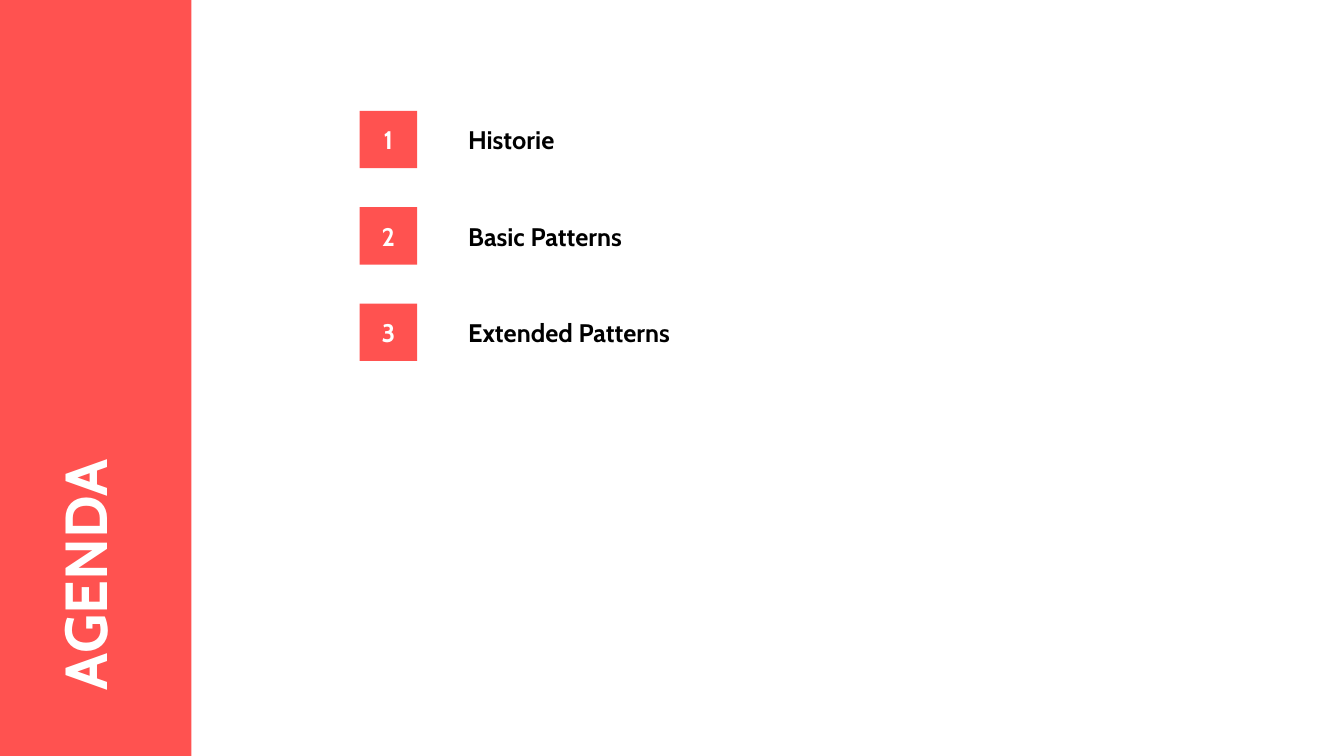
"""Build the agenda slide with its red side band and numbered topics."""
from pptx import Presentation
from pptx import util as u
from pptx.dml.color import RGBColor
from pptx.enum import shapes, text

COLORS = {"red": "FF5250", "white": "FFFFFF", "black": "000000"}
FONT = "Cabin"
TOPICS = ["Historie", "Basic Patterns", "Extended Patterns"]


def write(box, wording, size=15, color="black", align=text.PP_ALIGN.LEFT, inset=0.1):
    """Write one bold, vertically centred line of text into a shape."""
    frame = box.text_frame
    frame.word_wrap = True
    frame.vertical_anchor = text.MSO_ANCHOR.MIDDLE
    frame.margin_left = frame.margin_right = u.Inches(inset)
    frame.margin_top = frame.margin_bottom = u.Inches(inset / 2)
    line = frame.paragraphs[0]
    line.alignment = align
    run = line.add_run()
    run.text = wording
    run.font.name = FONT
    run.font.size = u.Pt(size)
    run.font.bold = True
    run.font.color.rgb = RGBColor.from_string(COLORS[color])


def add_block(slide, left, top, width, height):
    """Add a plain red rectangle."""
    block = slide.shapes.add_shape(shapes.MSO_SHAPE.RECTANGLE, left, top, width, height)
    block.shadow.inherit = False
    block.fill.solid()
    block.fill.fore_color.rgb = RGBColor.from_string(COLORS["red"])
    block.line.fill.background()
    return block


def add_side_band(slide, left, top, width, height):
    """Fill the band and set the heading upwards along it."""
    add_block(slide, left, top, width, height)
    length, thickness = u.Inches(5.12), u.Inches(0.66)
    center_x = left + u.Inches(0.69)
    center_y = top + height // 2
    heading = slide.shapes.add_textbox(
        center_x - length // 2, center_y - thickness // 2, length, thickness)
    heading.rotation = 270
    write(heading, "AGENDA", size=35, color="white", inset=0)


def add_topics(slide, left, top, width, topics):
    """List the topics at an equal pitch, each beside its numbered square."""
    side, pitch, indent = u.Inches(0.47), u.Inches(0.79), u.Inches(0.79)
    for index, topic in enumerate(topics):
        row_top = top + index * pitch
        number = add_block(slide, left, row_top, side, side)
        write(number, str(index + 1), color="white", align=text.PP_ALIGN.CENTER)
        label = slide.shapes.add_textbox(left + indent, row_top, width - indent, side)
        write(label, topic)


def main():
    """Create and save the presentation."""
    deck = Presentation()
    deck.slide_width, deck.slide_height = u.Inches(11.02), u.Inches(6.2)
    slide = deck.slides.add_slide(deck.slide_layouts[6])
    add_side_band(slide, 0, 0, u.Inches(1.57), deck.slide_height)
    add_topics(slide, u.Inches(2.95), u.Inches(0.91), u.Inches(6.89), TOPICS)
    deck.save("out.pptx")


if __name__ == "__main__":
    main()
